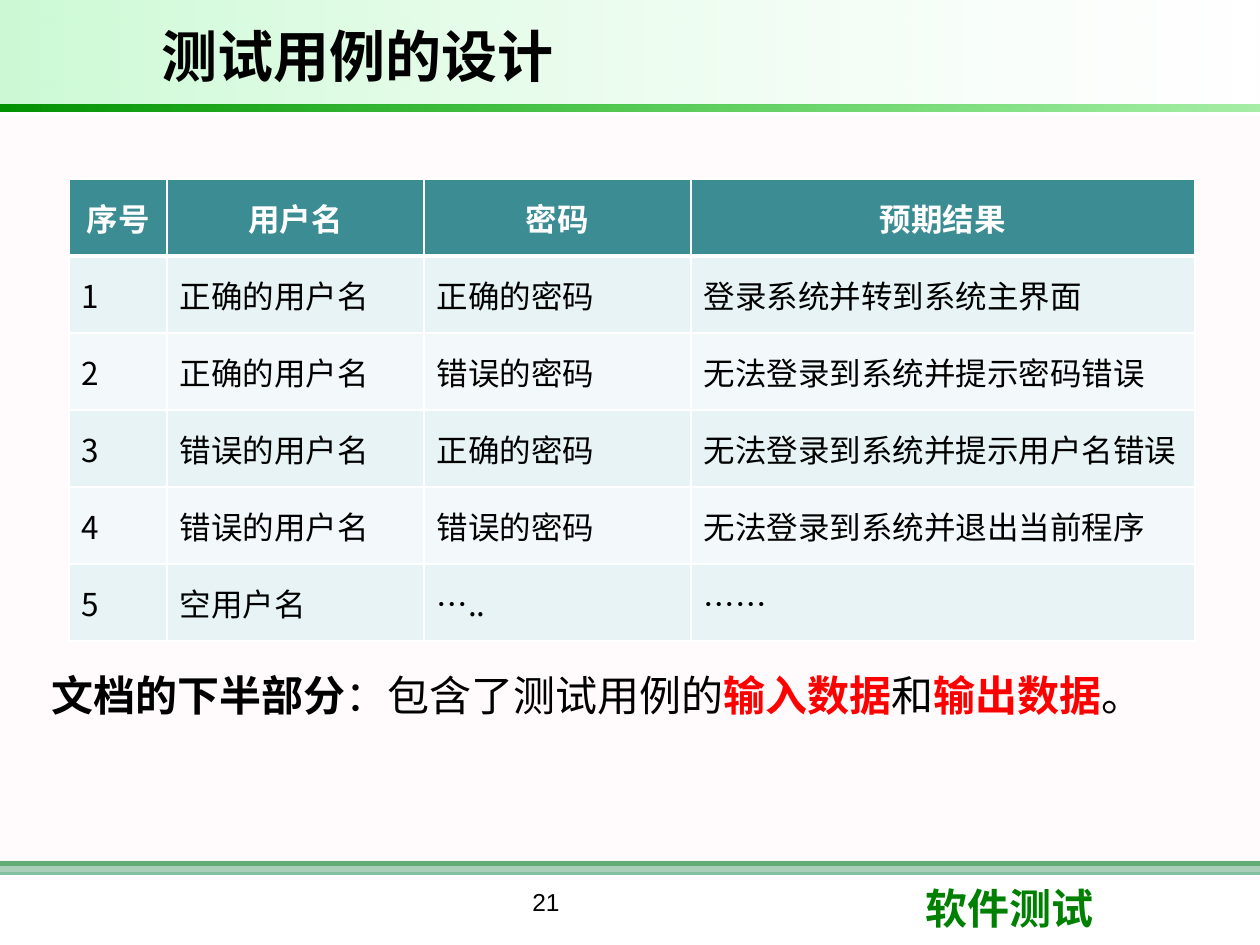
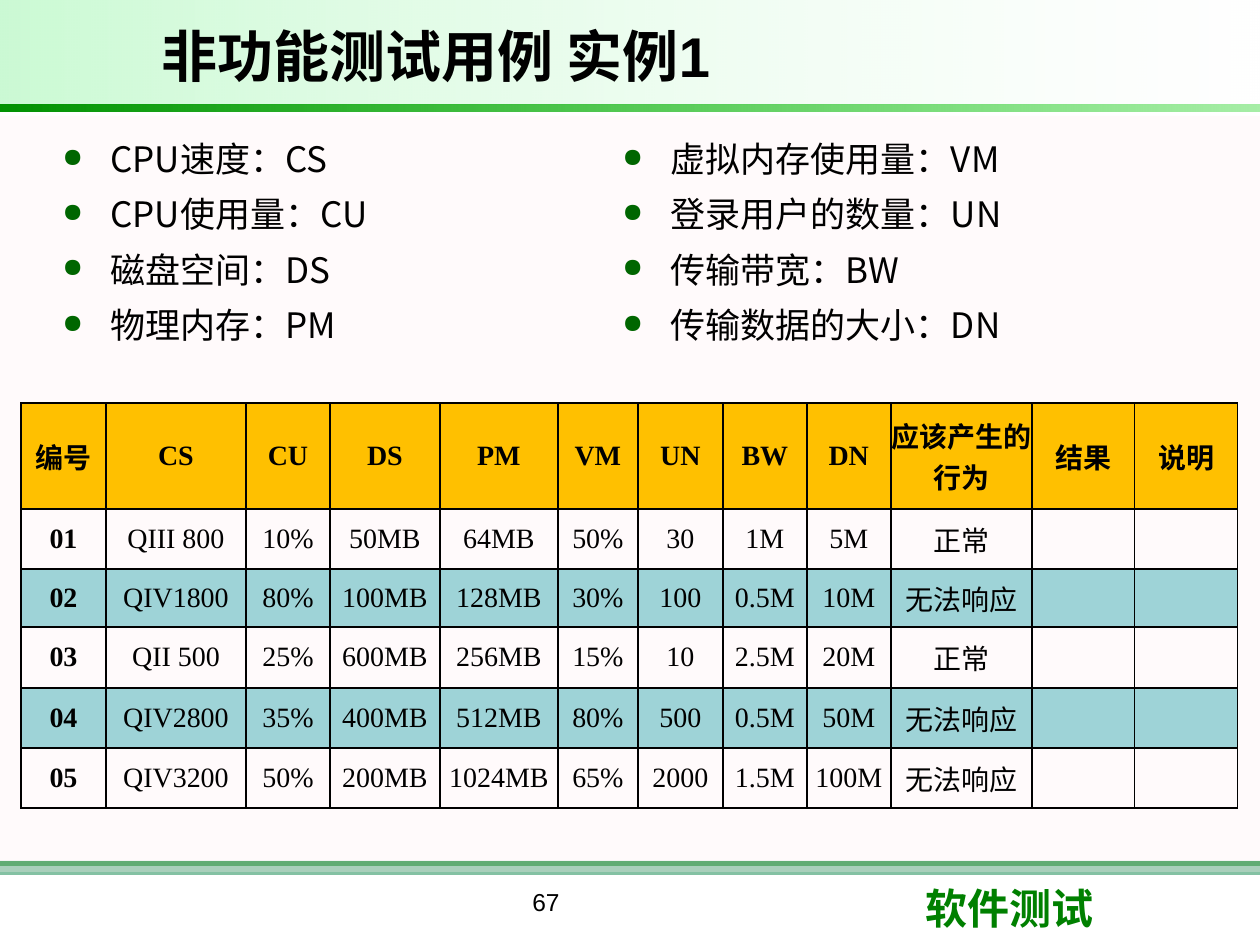
import dataclasses

import lxml.etree
import pptx
import pptx.dml.color
import pptx.enum.shapes
import pptx.enum.text
import pptx.oxml.ns
import pptx.util

EMU_PER_PX = 914400 / 126
NO_STYLE = "{2D5ABB26-0587-4C30-8999-92F81FD0307C}"
CENTER = pptx.enum.text.PP_ALIGN.CENTER
MIDDLE = pptx.enum.text.MSO_ANCHOR.MIDDLE
qn = pptx.oxml.ns.qn


@dataclasses.dataclass(frozen=True)
class Theme:
    """Colours, fonts and type sizes shared by the slides."""
    black: str = "000000"
    white: str = "FFFFFF"
    red: str = "FF0000"
    green: str = "008000"
    footer_band: str = "339966"
    panel: str = "FFF0F5"
    header_tint: str = "09E733"
    rule_dark: str = "009200"
    rule_light: str = "00CC00"
    bullet: str = "006600"
    teal: str = "3C8C93"
    teal_bands: tuple = ("E7F3F4", "F3F9FA")
    amber: str = "FFC000"
    aqua: str = "9ED3D7"
    sans: str = "Arial"
    cjk: str = "Noto Sans CJK SC"
    head: str = "Calibri"
    serif: str = "Times New Roman"
    title_size: int = 32
    lead_size: int = 24
    list_size: int = 20
    case_size: int = 18
    grid_size: int = 16
    page_size: int = 14


T = Theme()


def px(n):
    """Turn px into EMU."""
    return pptx.util.Emu(round(n * EMU_PER_PX))


def rgb(color):
    """Turn a hex string into a colour."""
    return pptx.dml.color.RGBColor.from_string(color)


def add_xml(parent, tag, **attrs):
    """Append a drawing element to a parent."""
    return lxml.etree.SubElement(parent, qn(tag), {k: str(v) for k, v in attrs.items()})


def style(r, size, color=T.black, bold=False, font=T.cjk):
    """Format one run, with the same CJK face everywhere."""
    r.font.size = pptx.util.Pt(size)
    r.font.bold = bold
    r.font.name = font
    r.font.color.rgb = rgb(color)
    add_xml(r._r.get_or_add_rPr(), "a:ea", typeface=T.cjk)


def add_band(slide, box, *stops):
    """Add a borderless rectangle; two (colour, opacity) stops make a gradient."""
    sp = slide.shapes.add_shape(pptx.enum.shapes.MSO_SHAPE.RECTANGLE, *map(px, box))
    sp.shadow.inherit = False
    sp.line.fill.background()
    if len(stops) == 1:
        sp.fill.solid()
        sp.fill.fore_color.rgb = rgb(stops[0][0])
    else:
        sp.fill.gradient()
        sp.fill.gradient_angle = 0
        for stop, (color, _) in zip(sp.fill.gradient_stops, stops):
            stop.color.rgb = rgb(color)
    for clr, (_, opacity) in zip(sp._element.spPr.iter(qn("a:srgbClr")), stops):
        if opacity < 100:
            add_xml(clr, "a:alpha", val=opacity * 1000)


def add_text(slide, box, runs, size, font=T.cjk, align=None, anchor=None, spacing=None):
    """Add a one-paragraph text box from (text, colour, bold) runs."""
    tf = slide.shapes.add_textbox(*map(px, box)).text_frame
    tf.word_wrap = True
    tf.vertical_anchor = anchor
    p = tf.paragraphs[0]
    p.alignment = align
    p.line_spacing = spacing
    for text, color, bold in runs:
        r = p.add_run()
        r.text = text
        style(r, size, color, bold, font)


def add_bullets(slide, box, items):
    """Add a bulleted list."""
    tf = slide.shapes.add_textbox(*map(px, box)).text_frame
    tf.word_wrap = True
    for i, item in enumerate(items):
        p = tf.add_paragraph() if i else tf.paragraphs[0]
        p.text = item
        p.line_spacing = 0.9
        p.space_after = pptx.util.Pt(10)
        pPr = p._p.get_or_add_pPr()
        pPr.set("marL", str(px(49)))
        pPr.set("indent", str(px(-48)))
        add_xml(add_xml(pPr, "a:buClr"), "a:srgbClr", val=T.bullet)
        add_xml(pPr, "a:buSzPct", val=75000)
        add_xml(pPr, "a:buChar", char="●")
        style(p.runs[0], T.list_size)


def set_borders(cell, color, top=1, bottom=1):
    """Draw the four borders of a cell, widths in points."""
    tcPr = cell._tc.get_or_add_tcPr()
    widths = {"a:lnL": 1, "a:lnR": 1, "a:lnT": top, "a:lnB": bottom}
    for i, (tag, width) in enumerate(widths.items()):
        ln = add_xml(tcPr, tag, w=pptx.util.Pt(width))
        add_xml(add_xml(ln, "a:solidFill"), "a:srgbClr", val=color)
        tcPr.insert(i, ln)


def add_grid(slide, left, top, cols, heights, rows):
    """Add an unstyled table and yield each cell with its row and column."""
    frame = slide.shapes.add_table(
        len(rows), len(cols), px(left), px(top), px(sum(cols)), px(sum(heights)))
    table = frame.table
    table._tbl.tblPr.find(qn("a:tableStyleId")).text = NO_STYLE
    for column, width in zip(table.columns, cols):
        column.width = px(width)
    for i, (row, height) in enumerate(zip(rows, heights)):
        table.rows[i].height = px(height)
        for j, text in enumerate(row):
            cell = table.cell(i, j)
            cell.text_frame.text = text
            cell.vertical_anchor = MIDDLE
            yield cell, i, j


def fill_cell(cell, color):
    """Fill a cell, or clear it when no colour is given."""
    if color:
        cell.fill.solid()
        cell.fill.fore_color.rgb = rgb(color)
    else:
        cell.fill.background()


def add_login_table(slide, left, top):
    """Add the table of login test cases."""
    rows = [
        ("序号", "用户名", "密码", "预期结果"),
        ("1", "正确的用户名", "正确的密码", "登录系统并转到系统主界面"),
        ("2", "正确的用户名", "错误的密码", "无法登录到系统并提示密码错误"),
        ("3", "错误的用户名", "正确的密码", "无法登录到系统并提示用户名错误"),
        ("4", "错误的用户名", "错误的密码", "无法登录到系统并退出当前程序"),
        ("5", "空用户名", "…..", "……"),
    ]
    for cell, i, _ in add_grid(slide, left, top, (98, 257, 267, 504), [77] * 6, rows):
        head = i == 0
        fill_cell(cell, T.teal if head else T.teal_bands[(i - 1) % 2])
        set_borders(cell, T.white, top=3 if i == 1 else 1, bottom=3 if head else 1)
        p = cell.text_frame.paragraphs[0]
        p.alignment = CENTER if head else None
        style(p.runs[0], T.case_size, T.white if head else T.black, head,
              T.head if head else T.cjk)


def add_load_table(slide, left, top):
    """Add the table of non-functional test cases."""
    rows = [
        ("编号", "CS", "CU", "DS", "PM", "VM", "UN", "BW", "DN", "应该产生的行为", "结果", "说明"),
        ("01", "QIII 800", "10%", "50MB", "64MB", "50%", "30", "1M", "5M", "正常", "", ""),
        ("02", "QIV1800", "80%", "100MB", "128MB", "30%", "100", "0.5M", "10M", "无法响应", "", ""),
        ("03", "QII 500", "25%", "600MB", "256MB", "15%", "10", "2.5M", "20M", "正常", "", ""),
        ("04", "QIV2800", "35%", "400MB", "512MB", "80%", "500", "0.5M", "50M", "无法响应", "", ""),
        ("05", "QIV3200", "50%", "200MB", "1024MB", "65%", "2000", "1.5M", "100M", "无法响应", "", ""),
    ]
    cols = (85, 140, 84, 110, 118, 80, 85, 84, 84, 141, 103, 103)
    heights = (106, 60, 58, 61, 60, 60)
    for cell, i, j in add_grid(slide, left, top, cols, heights, rows):
        fill_cell(cell, T.amber if i == 0 else T.aqua if i % 2 == 0 else None)
        set_borders(cell, T.black)
        cell.margin_left = cell.margin_right = 0
        cell.margin_top = cell.margin_bottom = px(3)
        p = cell.text_frame.paragraphs[0]
        p.alignment = CENTER
        for r in p.runs:
            style(r, T.grid_size, bold=i == 0 or j == 0, font=T.serif)


def add_frame(prs, title, page):
    """Add a slide with the shared bands, title, page number and course name."""
    slide = prs.slides.add_slide(prs.slide_layouts[6])
    add_band(slide, (0, 861, 1260, 5), (T.green, 100))
    add_band(slide, (0, 861, 1260, 14), (T.footer_band, 60))
    add_band(slide, (0, 116, 1260, 756), (T.panel, 30))
    add_band(slide, (0, 0, 1260, 105), (T.header_tint, 21), (T.white, 10))
    add_band(slide, (0, 105, 1260, 7), (T.rule_dark, 100), (T.rule_light, 35))
    add_text(slide, (913, 882, 299, 63), [("软件测试", T.green, True)],
             T.lead_size, T.sans, spacing=0.9)
    add_text(slide, (149, 10, 878, 90), [(title, T.black, True)],
             T.title_size, T.sans, anchor=MIDDLE)
    add_text(slide, (346, 881, 400, 64), [(page, T.black, False)],
             T.page_size, T.sans, align=CENTER)
    return slide


def build_login_slide(prs):
    """Build the slide on test case design."""
    slide = add_frame(prs, "测试用例的设计", "21")
    add_login_table(slide, 69, 179)
    add_text(slide, (39, 669, 1171, 64), [
        ("文档的下半部分", T.black, True),
        ("：包含了测试用例的", T.black, False),
        ("输入数据", T.red, True),
        ("和", T.black, False),
        ("输出数据", T.red, True),
        ("。", T.black, False),
    ], T.lead_size, spacing=0.9)


def build_load_slide(prs):
    """Build the slide with the non-functional example."""
    slide = add_frame(prs, "非功能测试用例 实例1", "67")
    add_bullets(slide, (49, 136, 540, 260),
                ("CPU速度：CS", "CPU使用量：CU", "磁盘空间：DS", "物理内存：PM"))
    add_bullets(slide, (609, 136, 640, 260),
                ("虚拟内存使用量：VM", "登录用户的数量：UN", "传输带宽：BW", "传输数据的大小：DN"))
    add_load_table(slide, 21, 403)


def main():
    """Build and save the presentation."""
    prs = pptx.Presentation()
    prs.slide_width, prs.slide_height = px(1260), px(945)
    build_login_slide(prs)
    build_load_slide(prs)
    prs.save("out.pptx")


if __name__ == "__main__":
    main()
